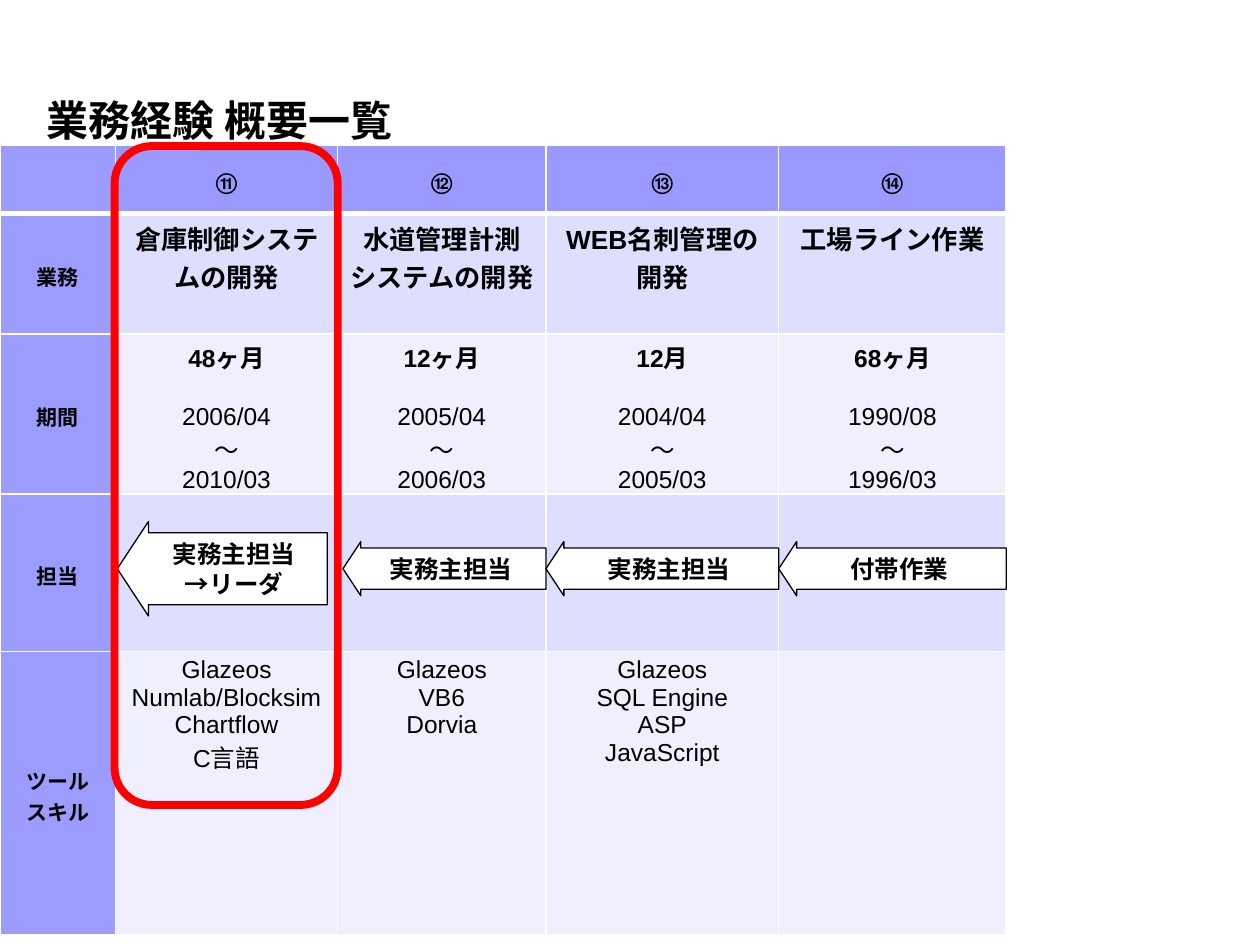
from pptx import Presentation
from pptx.dml.color import RGBColor
from pptx.enum.shapes import MSO_SHAPE
from pptx.enum.text import MSO_ANCHOR, MSO_AUTO_SIZE, PP_ALIGN
from pptx.oxml.ns import qn
from pptx.util import Pt
from lxml.etree import SubElement

TITLE = "業務経験 概要一覧"
LABELS = ["業務", "期間", "担当", "ツール\nスキル"]
JOBS = [
    dict(no="⑪", work="倉庫制御システムの開発", months="48ヶ月", start="2006/04", end="2010/03",
         role="実務主担当\n→リーダ", tools=["Glazeos", "Numlab/Blocksim", "Chartflow", "C言語"]),
    dict(no="⑫", work="水道管理計測\vシステムの開発", months="12ヶ月", start="2005/04", end="2006/03",
         role="実務主担当", tools=["Glazeos", "VB6", "Dorvia"]),
    dict(no="⑬", work="WEB名刺管理の開発", months="12月", start="2004/04", end="2005/03",
         role="実務主担当", tools=["Glazeos", "SQL Engine", "ASP", "JavaScript"]),
    dict(no="⑭", work="工場ライン作業", months="68ヶ月", start="1990/08", end="1996/03",
         role="付帯作業", tools=[]),
]
COLORS = dict(head="9999FF", label="9C9CFF", odd="DEDEFF", even="EFEFFF",
              white="FFFFFF", black="000000", red="FF0000")
LATIN, CJK = "Arial", "Noto Sans CJK JP"
TABLE_TOP = 83
COLS = [66, 127, 119, 133, 130]
ROWS = [39, 69, 91, 90, 162]
ARROW_GAPS = [(1, 6), (3, 0), (0, 0), (0, 0)]  # left and right gap to the column


def rgb(name):
    """Return a palette colour."""
    return RGBColor.from_string(COLORS[name])


def write(tf, lines, size, bold=True, font=LATIN, align=PP_ALIGN.CENTER):
    """Fill a text frame with one paragraph per line."""
    for i, line in enumerate(lines):
        p = tf.paragraphs[0] if i == 0 else tf.add_paragraph()
        p.text, p.alignment = line, align
        for r in p.runs:
            for key, value in dict(name=font, size=Pt(size), bold=bold).items():
                setattr(r.font, key, value)
            r.font.color.rgb = rgb("black")
            SubElement(r.font._element, qn("a:ea"), typeface=CJK)


def style_cell(cell, fill, header):
    """Set margins, white borders and fill of a cell."""
    for side, gap in dict(left=5, right=5, top=3, bottom=0).items():
        setattr(cell, f"margin_{side}", Pt(gap))
    props = cell._tc.get_or_add_tcPr()
    for side in "LRTB":
        width = 3 if header and side == "B" else 1
        ln = SubElement(props, qn(f"a:ln{side}"), w=str(Pt(width)))
        SubElement(SubElement(ln, qn("a:solidFill")), qn("a:srgbClr"), val=COLORS["white"])
    cell.fill.solid()
    cell.fill.fore_color.rgb = rgb(fill)


def add_shape(s, kind, box, line, width):
    """Add an unfilled outlined shape without shadow."""
    sp = s.shapes.add_shape(kind, *map(Pt, box))
    sp.shadow.inherit = False
    sp.fill.background()
    sp.line.color.rgb, sp.line.width = rgb(line), Pt(width)
    return sp


def add_role(s, left, width, text):
    """Add a left arrow with a role, centred in the role row."""
    lines = text.split("\n")
    height = 31 if len(lines) == 1 else 54
    sp = add_shape(s, MSO_SHAPE.LEFT_ARROW, (left, 325 - height / 2, width, height), "black", 0.75)
    sp.adjustments[0], sp.adjustments[1] = 0.76, 0.33
    sp.fill.solid()
    sp.fill.fore_color.rgb = rgb("white")
    tf = sp.text_frame
    tf.word_wrap, tf.vertical_anchor = False, MSO_ANCHOR.MIDDLE
    write(tf, lines, 14, font=CJK)


prs = Presentation()
prs.slide_width, prs.slide_height = Pt(720), Pt(540)
s = prs.slides.add_slide(prs.slide_layouts[5])

title = s.shapes.title
title.left, title.top, title.width, title.height = map(Pt, (19.5, 50.5, 235.5, 36))
tf = title.text_frame
tf.word_wrap, tf.auto_size, tf.vertical_anchor = False, MSO_AUTO_SIZE.NONE, MSO_ANCHOR.MIDDLE
write(tf, [TITLE], 24, font=CJK, align=PP_ALIGN.LEFT)

table = s.shapes.add_table(len(ROWS), len(COLS), 0, Pt(TABLE_TOP), Pt(sum(COLS)), Pt(sum(ROWS))).table
table.first_row = table.horz_banding = False
for col, width in zip(table.columns, COLS):
    col.width = Pt(width)
for row, height in zip(table.rows, ROWS):
    row.height = Pt(height)
for i in range(len(ROWS)):
    for j in range(len(COLS)):
        fill = "label" if j == 0 else "head" if i == 0 else "odd" if i % 2 else "even"
        cell = table.cell(i, j)
        style_cell(cell, fill, i == 0)
        if i == 0 or j == 0:
            cell.vertical_anchor = MSO_ANCHOR.MIDDLE

for i, label in enumerate(LABELS, 1):
    write(table.cell(i, 0).text_frame, label.split("\n"), 12)
for j, job in enumerate(JOBS, 1):
    write(table.cell(0, j).text_frame, [job["no"]], 12)
    write(table.cell(1, j).text_frame, [job["work"]], 15)
    tf = table.cell(2, j).text_frame
    write(tf, [job["months"], job["start"], "～", job["end"]], 14, bold=False)
    tf.paragraphs[0].runs[0].font.bold = True
    tf.paragraphs[1].space_before = Pt(16)
    write(table.cell(4, j).text_frame, job["tools"], 14, bold=False)
    before, after = ARROW_GAPS[j - 1]
    add_role(s, sum(COLS[:j]) + before, COLS[j] - before - after, job["role"])

add_shape(s, MSO_SHAPE.ROUNDED_RECTANGLE, (65.5, 83.5, 127.5, 376.5), "red", 4.5)
prs.save("out.pptx")
